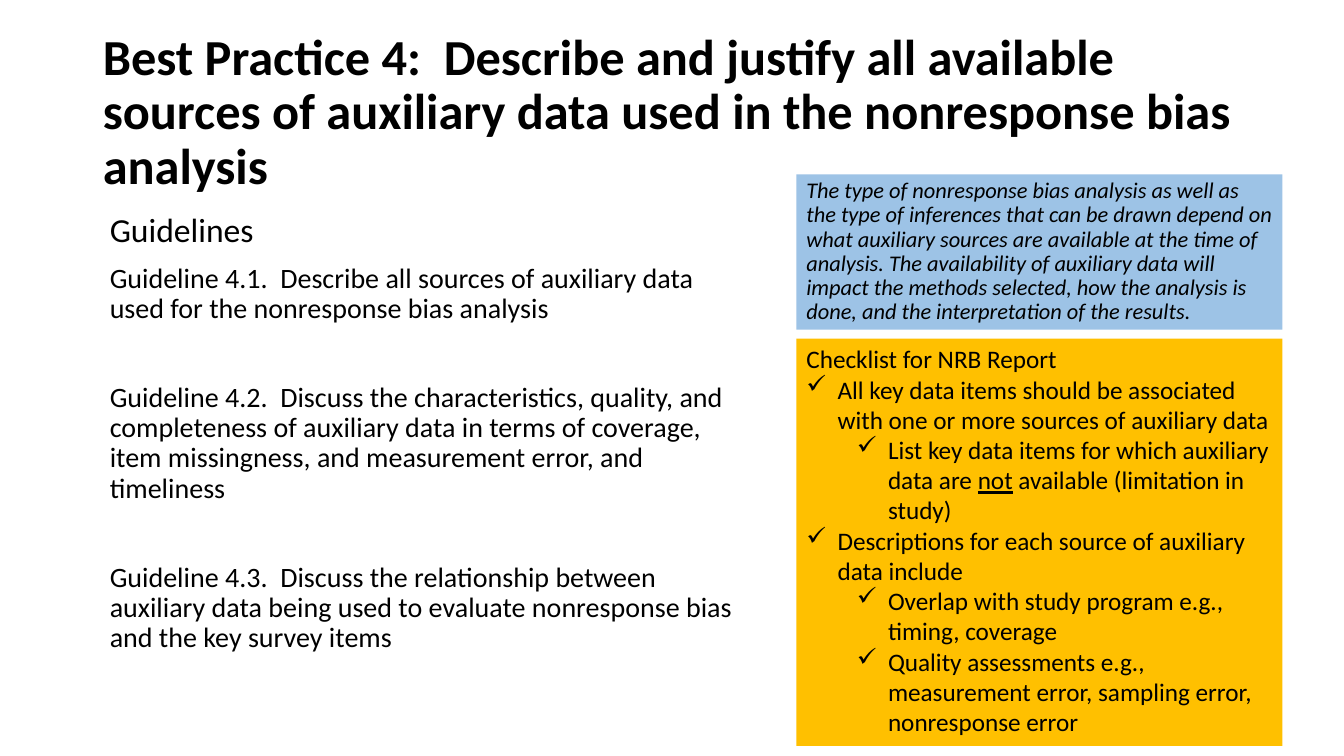
from dataclasses import dataclass

from lxml.etree import SubElement
from pptx import Presentation
from pptx.dml.color import RGBColor
from pptx.enum.shapes import MSO_SHAPE
from pptx.enum.text import MSO_ANCHOR, MSO_AUTO_SIZE, PP_ALIGN
from pptx.oxml.ns import qn
from pptx.util import Inches, Pt

WIDE, HIGH = Inches(13.33), Inches(7.5)
HANG = Inches(0.31)
STEP = Inches(0.5)


@dataclass
class Area:
    """A place on the slide, in percent of its width and height."""
    left: float
    top: float
    width: float
    height: float

    def spot(self) -> tuple:
        return (int(WIDE * self.left / 100), int(HIGH * self.top / 100),
                int(WIDE * self.width / 100), int(HIGH * self.height / 100))


@dataclass
class Line:
    """A paragraph; words between bars are underlined."""
    text: str
    size: float
    before: float = 0
    check: int = 0


def color(code: str) -> RGBColor:
    return RGBColor.from_string(code)


def write(frame, lines: list, *, bold: bool = False, italic: bool = False,
          space: float = 1, anchor=MSO_ANCHOR.TOP) -> None:
    frame.word_wrap = True
    frame.auto_size = MSO_AUTO_SIZE.NONE
    frame.vertical_anchor = anchor
    for i, line in enumerate(lines):
        para = frame.add_paragraph() if i else frame.paragraphs[0]
        if line.check:
            para.level = line.check - 1
            props = para._p.get_or_add_pPr()
            props.set("marL", str(HANG + STEP * para.level))
            props.set("indent", str(-HANG))
            SubElement(props, qn("a:buChar")).set("char", "✓")
        para.alignment = PP_ALIGN.LEFT
        para.line_spacing = space
        para.space_before = Pt(line.before)
        for j, part in enumerate(line.text.split("|")):
            run = para.add_run()
            run.text = part
            font = run.font
            font.name, font.size = "Calibri", Pt(line.size)
            font.bold, font.italic = bold, italic
            font.underline = j % 2 == 1
            font.color.rgb = color("000000")


def panel(slide, area: Area, fill: str):
    shape = slide.shapes.add_shape(MSO_SHAPE.RECTANGLE, *area.spot())
    shape.shadow.inherit = False
    shape.fill.solid()
    shape.fill.fore_color.rgb = color(fill)
    shape.line.fill.background()
    return shape.text_frame


def main() -> None:
    deck = Presentation()
    deck.slide_width, deck.slide_height = WIDE, HIGH
    slide = deck.slides.add_slide(deck.slide_layouts[5])

    # Title
    title = slide.shapes.title
    title.left, title.top, title.width, title.height = Area(
        6.9, 5.33, 86.27, 19.33).spot()
    write(title.text_frame, [Line(
        "Best Practice 4:  Describe and justify all available sources of "
        "auxiliary data used in the nonresponse bias analysis", 36)],
        bold=True, space=0.9, anchor=MSO_ANCHOR.MIDDLE)

    # Guidelines
    guide = slide.shapes.add_textbox(*Area(7.43, 27.6, 48.69, 63.47).spot())
    write(guide.text_frame, [
        Line("Guidelines", 24),
        Line("Guideline 4.1.  Describe all sources of auxiliary data used "
             "for the nonresponse bias analysis", 20, 10),
        Line("Guideline 4.2.  Discuss the characteristics, quality, and "
             "completeness of auxiliary data in terms of coverage, item "
             "missingness, and measurement error, and timeliness", 20, 42),
        Line("Guideline 4.3.  Discuss the relationship between auxiliary "
             "data being used to evaluate nonresponse bias and the key "
             "survey items", 20, 42),
    ], space=0.9)

    # Context note
    note = panel(slide, Area(59.26, 23.07, 36.16, 20.53), "9DC3E6")
    write(note, [Line(
        "The type of nonresponse bias analysis as well as the type of "
        "inferences that can be drawn depend on what auxiliary sources are "
        "available at the time of analysis. The availability of auxiliary "
        "data will impact the methods selected, how the analysis is done, "
        "and the interpretation of the results.", 16)],
        italic=True, space=0.9)

    # Checklist
    tasks = panel(slide, Area(59.26, 44.8, 36.16, 53.87), "FFC000")
    write(tasks, [
        Line("Checklist for NRB Report", 18),
        Line("All key data items should be associated with one or more "
             "sources of auxiliary data", 18, check=1),
        Line("List key data items for which auxiliary data are |not| "
             "available (limitation in study)", 18, check=2),
        Line("Descriptions for each source of auxiliary data include", 18,
             check=1),
        Line("Overlap with study program e.g., timing, coverage", 18, check=2),
        Line("Quality assessments e.g., measurement error, sampling error, "
             "nonresponse error", 18, check=2),
    ])

    deck.save("out.pptx")


if __name__ == "__main__":
    main()
